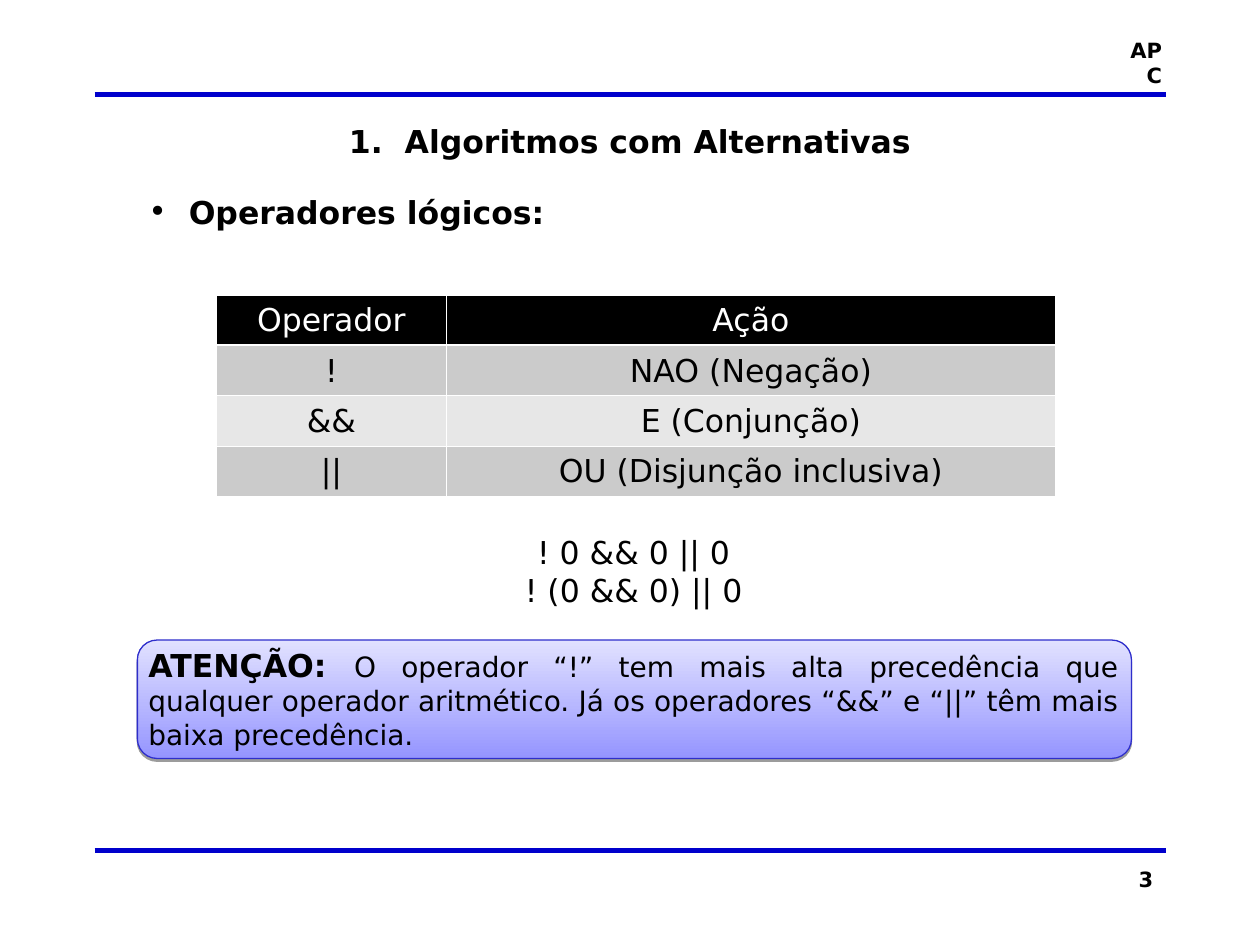
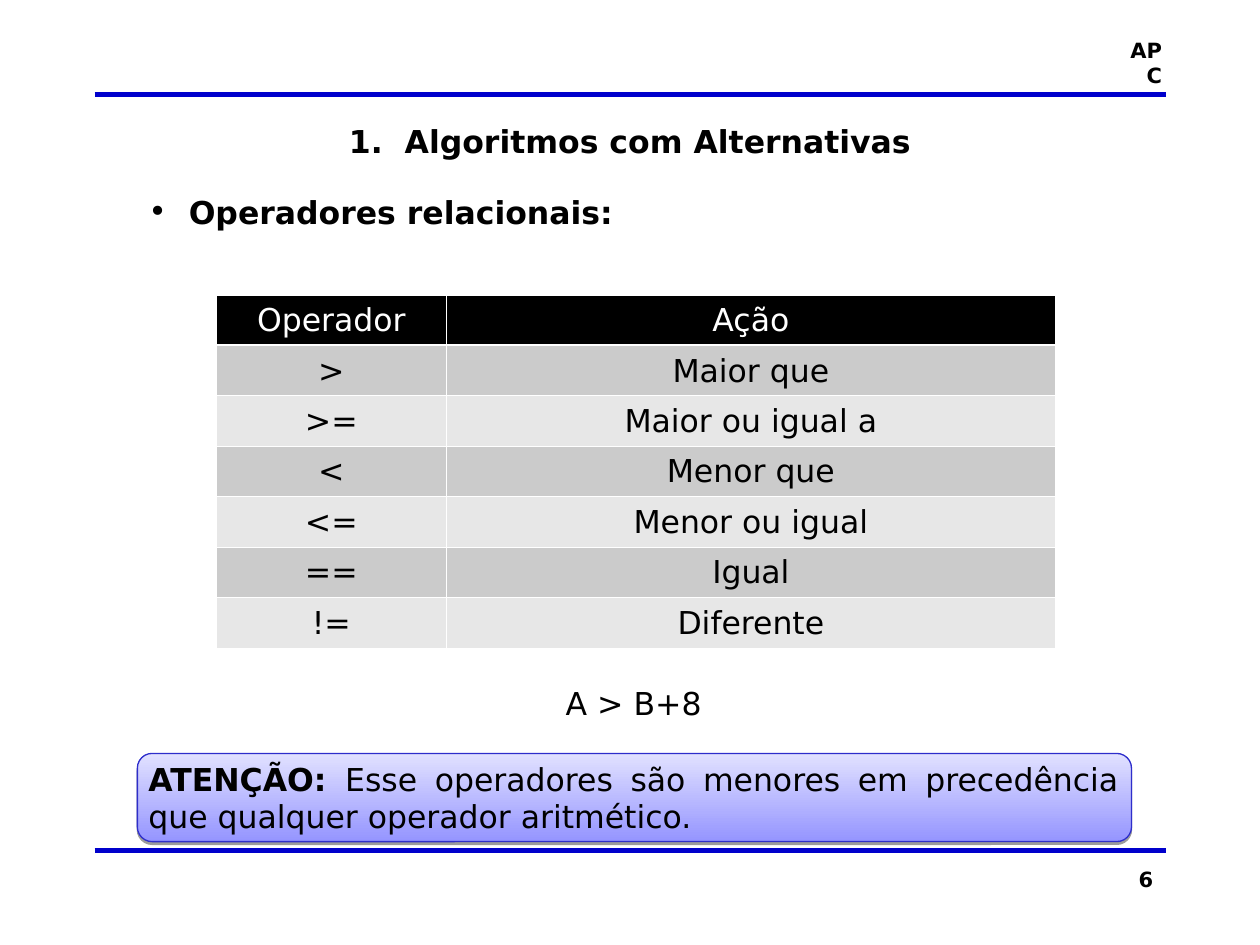
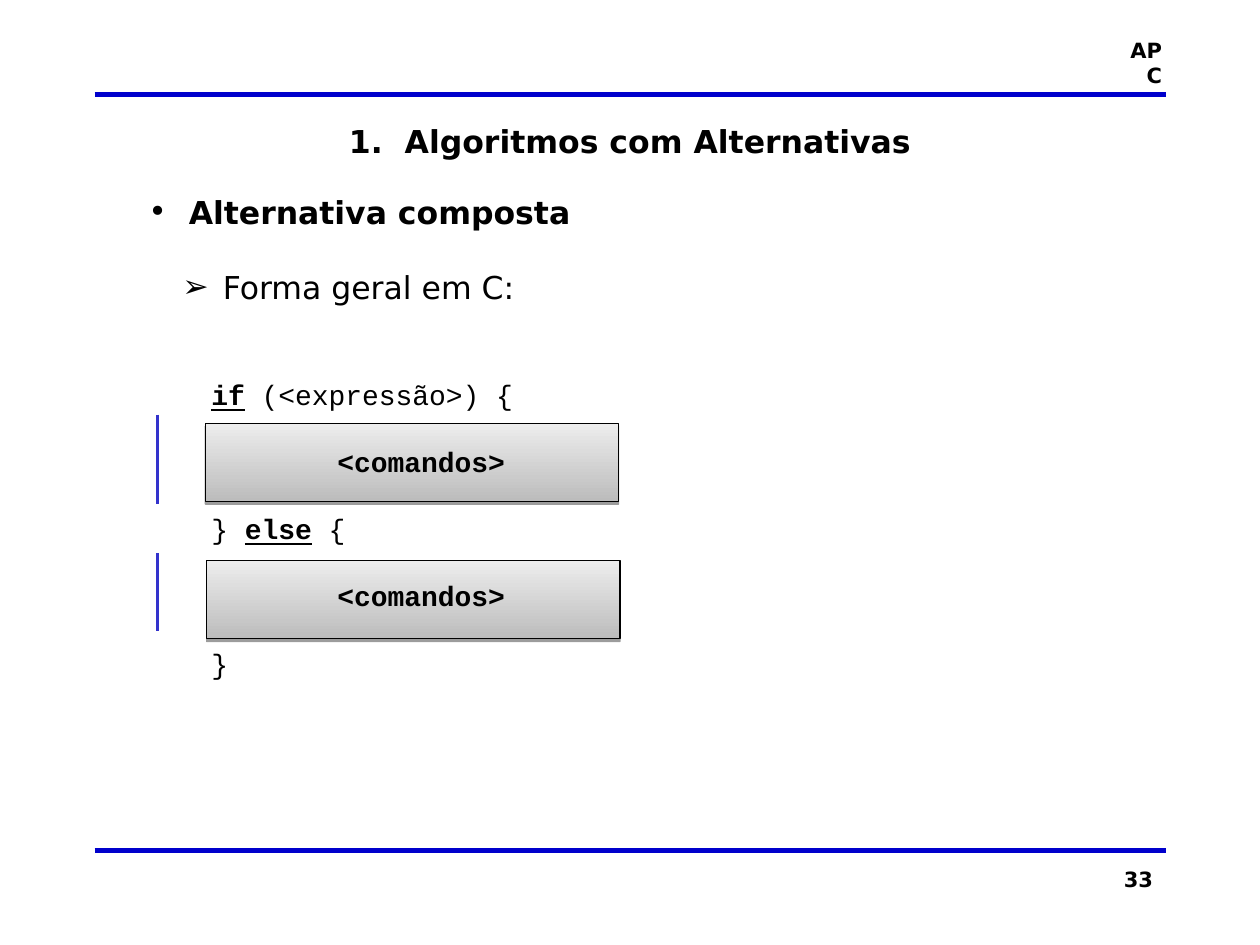
from pptx import Presentation
from pptx.dml.color import RGBColor
from pptx.enum.shapes import MSO_CONNECTOR as CONNECTOR, MSO_SHAPE as SHAPE
from pptx.enum.text import PP_ALIGN as ALIGN
from pptx.oxml import parse_xml
from pptx.oxml.ns import nsdecls
from pptx.util import Inches, Pt

BLACK, WHITE = "000000", "FFFFFF"
RULE_BLUE, BRACKET_BLUE = "0000CC", "3333CC"
NOTICE = (("9595FF", "E1E1FF"), "2E2ECB")
COMMAND = (("BCBCBC", "EDEDED"), BLACK)
ROW_FILLS = ("CBCBCB", "E7E7E7")
SANS, MONO = "DejaVu Sans", "Courier New"
LEADING = 1.2
TEXT, CODE, SMALL = 18, 16, 12
TEXT_LINE, CODE_LINE = TEXT * LEADING, CODE * LEADING


def color(value):
    return RGBColor.from_string(value)


def element(tag, inner="", attributes=""):
    return parse_xml(f'<a:{tag} {nsdecls("a")} {attributes}>{inner}</a:{tag}>')


class SlideBuilder:
    def __init__(self, deck):
        self.deck = deck
        self.page = None

    def start(self, number):
        """Add a page with its rules, header, page number and title."""
        self.page = self.deck.slides.add_slide(self.deck.slide_layouts[6])
        for y in (0.75, 6.75):
            self.line(0.75, y, 9.25, y, RULE_BLUE, 3)
        for text, place, size, align in (
            ("APC", (8.8, 0.25, 0.52, 0.3), SMALL, ALIGN.RIGHT),
            (str(number), (7.17, 6.83, 2.08, 0.5), SMALL, ALIGN.RIGHT),
            ("1.  Algoritmos com Alternativas", (0.75, 0.92, 8.5, 0.4), TEXT, ALIGN.CENTER),
        ):
            self.paragraph(self.text_box(*place), [(text, "b")], size, align)

    def body(self, heading, height):
        """Add the main text box with its bulleted heading; return its frame."""
        frame = self.text_box(1.08, 1.48, 7.9, height)
        self.paragraph(frame, [(heading, "b")], bullet="•", indent=0.32, hanging=0.32)
        return frame

    def line(self, x1, y1, x2, y2, line_color, width):
        line = self.page.shapes.add_connector(
            CONNECTOR.STRAIGHT, Inches(x1), Inches(y1), Inches(x2), Inches(y2))
        line.line.color.rgb = color(line_color)
        line.line.width = Pt(width)
        line._element.spPr.append(element("effectLst"))

    def panel(self, kind, left, top, width, height, look):
        shades, outline = look
        panel = self.page.shapes.add_shape(
            kind, Inches(left), Inches(top), Inches(width), Inches(height))
        panel.fill.gradient()
        panel.fill.gradient_angle = 90
        for stop, shade in zip(panel.fill.gradient_stops, shades):
            stop.color.rgb = color(shade)
        panel.line.color.rgb = color(outline)
        panel.line.width = Pt(0.75)
        # Replace the theme shadow by a thin one straight below
        panel.shadow.inherit = False
        panel._element.spPr.effectLst.append(element(
            "outerShdw", '<a:srgbClr val="000000"><a:alpha val="38000"/></a:srgbClr>',
            f'blurRad="0" dist="{Pt(1.6)}" dir="5400000" rotWithShape="0"'))

    def text_box(self, left, top, width, height):
        box = self.page.shapes.add_textbox(
            Inches(left), Inches(top), Inches(width), Inches(height))
        box.text_frame.word_wrap = True
        return box.text_frame

    def paragraph(self, frame, spans, size=TEXT, align=ALIGN.JUSTIFY, before=0,
                  font=SANS, ink=BLACK, bullet=None, indent=0, hanging=0):
        """Write spans of (text, flags, optional size); b is bold, u is underlined."""
        first = frame.paragraphs[0]
        para = frame.add_paragraph() if first.runs else first
        para.alignment = align
        para.line_spacing = Pt(size * LEADING)
        para.space_before = Pt(before)
        properties = para._p.get_or_add_pPr()
        properties.set("marL", str(Inches(indent)))
        properties.set("indent", str(-Inches(hanging)))
        if bullet:
            properties.append(element("buFont", attributes=f'typeface="{SANS}"'))
            properties.append(element("buChar", attributes=f'char="{bullet}"'))
        for text, flags, *own_size in spans:
            span = para.add_run()
            span.text = text
            span.font.name = font
            span.font.size = Pt(own_size[0] if own_size else size)
            span.font.bold = "b" in flags
            span.font.underline = "u" in flags
            span.font.color.rgb = color(ink)

    def operator_table(self, operators):
        rows = [("Operador", "Ação"), *operators]
        widths, row_height = (1.82, 4.84), 0.4
        table = self.page.shapes.add_table(
            len(rows), len(widths), Inches(1.72), Inches(2.34),
            Inches(sum(widths)), Inches(row_height * len(rows))).table
        table.horz_banding = False
        for column, width in zip(table.columns, widths):
            column.width = Inches(width)
        for index, row in enumerate(rows):
            table.rows[index].height = Inches(row_height)
            fill = ROW_FILLS[(index - 1) % 2] if index else BLACK
            for cell, text in zip(table.rows[index].cells, row):
                self.borders(cell, index)
                cell.fill.solid()
                cell.fill.fore_color.rgb = color(fill)
                self.paragraph(cell.text_frame, [(text, "")], align=ALIGN.CENTER,
                               ink=BLACK if index else WHITE)

    def borders(self, cell, row):
        # The edge between the header and the first row is thicker
        thick = {0: "B", 1: "T"}.get(row)
        white_fill = f'<a:solidFill><a:srgbClr val="{WHITE}"/></a:solidFill>'
        for side in "LRTB":
            width = Pt(1.47 if side == thick else 0.45)
            cell._tc.get_or_add_tcPr().append(
                element(f"ln{side}", white_fill, f'w="{width}"'))


def operator_slide(builder, number, heading, operators, table_lines, examples,
                   notice, notice_size, notice_top, notice_height, body_height):
    """Table_lines is the room kept for the table, in lines of body text."""
    builder.start(number)
    builder.panel(SHAPE.ROUNDED_RECTANGLE, 1.09, notice_top, 7.89, notice_height, NOTICE)
    frame = builder.body(heading, body_height)
    before = table_lines * TEXT_LINE
    for example in examples:
        builder.paragraph(frame, [(example, "")], align=ALIGN.CENTER, before=before)
        before = 0
    builder.paragraph(frame, [("ATENÇÃO: ", "b", TEXT), (notice, "")], notice_size,
                      before=TEXT_LINE + (TEXT - notice_size) * LEADING)
    builder.operator_table(operators)


def alternative_slide(builder):
    builder.start(33)
    for left, top in ((1.64, 4.45), (1.63, 3.36)):
        builder.panel(SHAPE.RECTANGLE, left, top, 3.28, 0.62, COMMAND)
    frame = builder.body("Alternativa composta", 4.01)
    builder.paragraph(frame, [("Forma geral em C:", "")], before=TEXT_LINE,
                      bullet="➢", indent=0.59, hanging=0.32)
    # Code lines with their left indents
    commands = (1.5, [("<comandos>", "b")])
    code = [
        (0.5, [("if", "bu"), (" (<expressão>) {", "")]),
        commands,
        (0.5, [("} ", ""), ("else", "bu"), (" {", "")]),
        commands,
        (0.5, [("}", "")]),
    ]
    before = TEXT_LINE + CODE_LINE
    for indent, spans in code:
        builder.paragraph(frame, spans, CODE, before=before, font=MONO, indent=indent)
        before = CODE_LINE
    # Bars that mark the two blocks
    for top, bottom in ((3.29, 4), (4.39, 5.01)):
        builder.line(1.25, top, 1.25, bottom, BRACKET_BLUE, 2)


def main():
    deck = Presentation()
    deck.slide_width, deck.slide_height = Inches(10), Inches(7.5)
    builder = SlideBuilder(deck)
    operator_slide(
        builder, 3, "Operadores lógicos:",
        [("!", "NAO (Negação)"), ("&&", "E (Conjunção)"), ("||", "OU (Disjunção inclusiva)")],
        8, ["! 0 && 0 || 0", "! (0 && 0) || 0"],
        "O operador “!” tem mais alta precedência que qualquer operador aritmético. "
        "Já os operadores “&&” e “||” têm mais baixa precedência.",
        CODE, 5.08, 0.94, 4.82)
    operator_slide(
        builder, 6, "Operadores relacionais:",
        [(">", "Maior que"), (">=", "Maior ou igual a"), ("<", "Menor que"),
         ("<=", "Menor ou igual"), ("==", "Igual"), ("!=", "Diferente")],
        12, ["A > B+8"],
        "Esse operadores são menores em precedência que qualquer operador aritmético.",
        TEXT, 5.98, 0.7, 5.95)
    alternative_slide(builder)
    deck.save("out.pptx")


if __name__ == "__main__":
    main()
